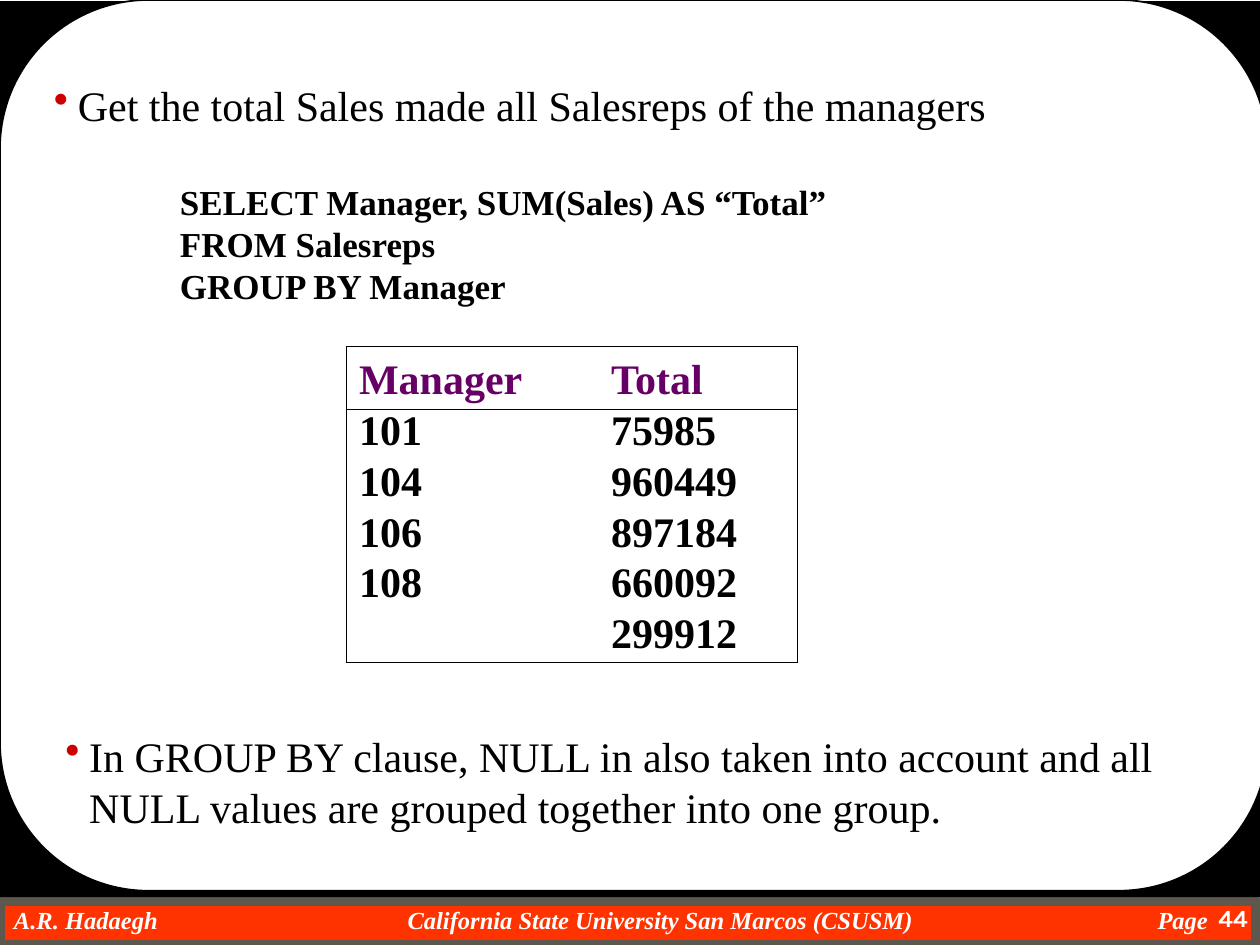
from dataclasses import dataclass

from lxml import etree
from pptx import Presentation
from pptx.dml.color import RGBColor
from pptx.enum.shapes import MSO_SHAPE
from pptx.enum.text import PP_ALIGN
from pptx.oxml.ns import qn
from pptx.util import Pt

RECT = MSO_SHAPE.RECTANGLE
ROUND = MSO_SHAPE.ROUNDED_RECTANGLE
RIGHT = PP_ALIGN.RIGHT
SERIF = "Times New Roman"
HUES = {"black": "000000", "white": "FFFFFF", "orange": "FF3300",
        "taupe": "5E574E", "purple": "660066", "red": "CC0000"}
LEAD = 1.2  # line height as a multiple of the text size


@dataclass
class Box:
    left: float
    top: float
    width: float
    height: float

    def spans(self) -> list:
        return [Pt(v) for v in (self.left, self.top, self.width, self.height)]


@dataclass
class Panel:
    box: Box
    kind: int
    fill: str
    line: str = ""
    weight: float = 0


@dataclass
class Style:
    size: float
    hue: str = "black"
    bold: bool = False
    slant: bool = False
    face: str = SERIF


PANELS = [
    Panel(Box(0, 514.8, 717.84, 25.2), RECT, "orange", "taupe", 6),
    Panel(Box(0, 0.72, 720, 511.92), RECT, "black"),
    Panel(Box(0, 0, 724.32, 509.04), ROUND, "white", "black", 1),
]
POINT = Style(24)
CODE = Style(20, bold=True)
HEAD = Style(24, "purple", bold=True)
BODY = Style(24, bold=True)
FOOT = Style(14, "white", bold=True, slant=True)
PAGE = Style(14, "white", bold=True, face="Karla")

QUERY = ["SELECT Manager, SUM(Sales) AS “Total”",
         "FROM Salesreps",
         "GROUP BY Manager"]
SALES = [("Manager", "Total"), ("101", "75985"), ("104", "960449"),
         ("106", "897184"), ("108", "660092"), ("", "299912")]
GRID = Box(198, 198, 257.76, 180.72)
FIRST = 144  # width of the Manager column
TOP = 36  # height of the header row


def color(name: str) -> RGBColor:
    return RGBColor.from_string(HUES[name])


def draw_panel(slide, panel: Panel) -> None:
    shape = slide.shapes.add_shape(panel.kind, *panel.box.spans())
    shape.shadow.inherit = False
    shape.fill.solid()
    shape.fill.fore_color.rgb = color(panel.fill)
    if panel.line:
        shape.line.color.rgb = color(panel.line)
        shape.line.width = Pt(panel.weight)
    else:
        shape.line.fill.background()


def add_frame(slide, box: Box):
    frame = slide.shapes.add_textbox(*box.spans()).text_frame
    frame.word_wrap = True
    return frame


def write(para, text: str, style: Style) -> None:
    para.text = text
    for run in para.runs:
        font = run.font
        font.name, font.size = style.face, Pt(style.size)
        font.bold, font.italic = style.bold, style.slant
        font.color.rgb = color(style.hue)


def add_bullet(para) -> None:
    props = para._p.get_or_add_pPr()
    props.set("marL", str(Pt(13.68)))
    props.set("indent", str(Pt(-13.68)))
    tint = etree.SubElement(props, qn("a:buClr"))
    etree.SubElement(tint, qn("a:srgbClr"), val=HUES["red"])
    etree.SubElement(props, qn("a:buChar"), char="•")


def draw_point(slide, box: Box, text: str):
    frame = add_frame(slide, box)
    para = frame.paragraphs[0]
    add_bullet(para)
    write(para, text, POINT)
    para.line_spacing = Pt(POINT.size * LEAD)
    return frame


def add_query(frame) -> None:
    for i, text in enumerate(QUERY):
        para = frame.add_paragraph()
        para._p.get_or_add_pPr().set("marL", str(Pt(72)))
        write(para, text, CODE)
        para.line_spacing = Pt(CODE.size * LEAD)
        if i == 0:
            para.space_before = Pt(POINT.size * LEAD)


def set_edges(cell, sides: dict) -> None:
    """Rule the sides marked true; clear the others."""
    props = cell._tc.get_or_add_tcPr()
    for i, (side, shown) in enumerate(sides.items()):
        edge = etree.Element(qn(f"a:ln{side}"), w=str(Pt(0.75)))
        if shown:
            fill = etree.SubElement(edge, qn("a:solidFill"))
            etree.SubElement(fill, qn("a:srgbClr"), val=HUES["black"])
        else:
            etree.SubElement(edge, qn("a:noFill"))
        props.insert(i, edge)


def draw_table(slide) -> None:
    count = len(SALES)
    table = slide.shapes.add_table(count, 2, *GRID.spans()).table
    table.first_row = table.horz_banding = False
    for col, width in zip(table.columns, (FIRST, GRID.width - FIRST)):
        col.width = Pt(width)
    step = (GRID.height - TOP) / (count - 1)
    for r, values in enumerate(SALES):
        head = r == 0
        table.rows[r].height = Pt(TOP if head else step)
        for c, value in enumerate(values):
            cell = table.cell(r, c)
            cell.margin_left, cell.margin_right = Pt(7.2), Pt(0)
            cell.margin_top, cell.margin_bottom = Pt(3.6 if head else 0), Pt(0)
            cell.fill.background()
            para = cell.text_frame.paragraphs[0]
            write(para, value, HEAD if head else BODY)
            para.line_spacing = Pt(28.8 if head else 26)
            set_edges(cell, {"L": c == 0, "R": c == 1, "T": r < 2,
                             "B": head or r == count - 1})


def draw_footer(slide) -> None:
    frame = add_frame(slide, Box(0, 516.96, 696.96, 16.56))
    frame.margin_left = Pt(8)
    frame.margin_right = frame.margin_top = frame.margin_bottom = 0
    para = frame.paragraphs[0]
    stops = etree.SubElement(para._p.get_or_add_pPr(), qn("a:tabLst"))
    for place, align in ((369.4, "ctr"), (682.3, "r")):
        etree.SubElement(stops, qn("a:tab"), pos=str(Pt(place)), algn=align)
    write(para, "A.R. Hadaegh\tCalifornia State University San Marcos (CSUSM)"
                "\tPage", FOOT)
    number = add_frame(slide, Box(666, 512.64, 54, 27.36)).paragraphs[0]
    write(number, "44", PAGE)
    number.alignment = RIGHT


def main() -> None:
    deck = Presentation()
    deck.slide_width, deck.slide_height = Pt(720), Pt(540)
    slide = deck.slides.add_slide(deck.slide_layouts[6])
    for panel in PANELS:
        draw_panel(slide, panel)
    draw_footer(slide)
    frame = draw_point(slide, Box(23.76, 41.76, 648, 185.04),
                       "Get the total Sales made all Salesreps of the managers")
    add_query(frame)
    draw_table(slide)
    draw_point(slide, Box(30.24, 414, 648, 64.8),
               "In GROUP BY clause, NULL in also taken into account and all "
               "NULL values are grouped together into one group.")
    deck.save("out.pptx")


if __name__ == "__main__":
    main()
